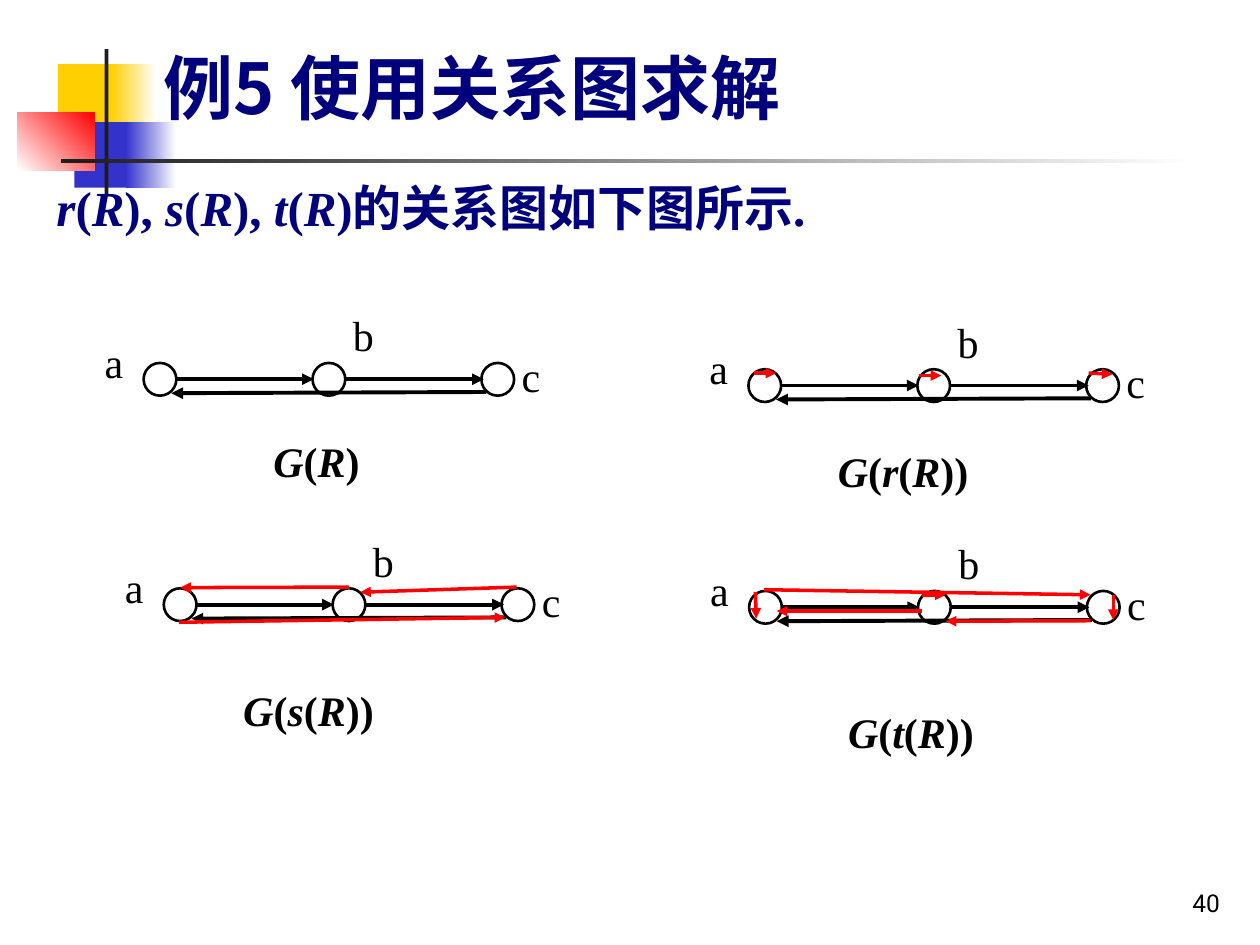
from itertools import groupby
from lxml.etree import SubElement as Sub
from pptx import Presentation
from pptx.dml.color import RGBColor as Rgb
from pptx.enum.shapes import MSO_CONNECTOR as Conn, MSO_SHAPE as Geo
from pptx.enum.text import MSO_ANCHOR as Anchor, PP_ALIGN as Align
from pptx.oxml.ns import qn
from pptx.util import Pt

COLORS = {
    "gold": "FFCF01", "blue": "3333CC", "red": "FF0000", "white": "FFFFFF",
    "dark": "1C1C1C", "navy": "00007D", "black": "000000",
}
SERIF, SANS, PLAIN = "Times New Roman", "Noto Sans CJK SC", "Roboto"


class Deck:
    def __init__(self, wide, high):
        self.prs = Presentation()
        self.prs.slide_width, self.prs.slide_height = Pt(wide), Pt(high)
        self.slide = self.prs.slides.add_slide(self.prs.slide_layouts[6])
        self.shapes = self.slide.shapes

    def color(self, name):
        return Rgb.from_string(COLORS[name])

    def block(self, box, *tones, angle=0):
        rect = self.shapes.add_shape(Geo.RECTANGLE, *map(Pt, box))
        rect.shadow.inherit = False
        rect.line.fill.background()
        if len(tones) == 1:
            rect.fill.solid()
            rect.fill.fore_color.rgb = self.color(tones[0])
            return
        rect.fill.gradient()
        rect.fill.gradient_angle = angle
        for stop, tone in zip(rect.fill.gradient_stops, tones):
            stop.color.rgb = self.color(tone)

    def node(self, x, y, size):
        ring = self.shapes.add_shape(Geo.OVAL, *map(Pt, (x, y, size, size)))
        ring.shadow.inherit = False
        ring.fill.background()
        ring.line.color.rgb = self.color("black")
        ring.line.width = Pt(1.5)

    def arrow(self, ends, tone="black", width=2.25):
        link = self.shapes.add_connector(Conn.STRAIGHT, *map(Pt, ends))
        link.line.color.rgb = self.color(tone)
        link.line.width = Pt(width)
        props = link._element.spPr
        Sub(props.find(qn("a:ln")), qn("a:tailEnd"), type="triangle")
        Sub(props, qn("a:effectLst"))

    def text(self, box, words, size=24, tone="black", face=SERIF, bold=False,
             math=False, pad=0, align=Align.LEFT, anchor=Anchor.TOP, lead=1):
        frame = self.shapes.add_textbox(*map(Pt, box)).text_frame
        form = {"word_wrap": True, "vertical_anchor": anchor,
                "margin_left": Pt(pad), "margin_right": Pt(pad)}
        for key, value in form.items():
            setattr(frame, key, value)
        para = frame.paragraphs[0]
        para.alignment, para.line_spacing = align, lead
        for slant, part in groupby(words, lambda c: math and c.isascii() and c.isalpha()):
            run = para.add_run()
            run.text = "".join(part)
            style = {"name": face, "size": Pt(size), "bold": bold, "italic": slant}
            for key, value in style.items():
                setattr(run.font, key, value)
            run.font.color.rgb = self.color(tone)
            Sub(run._r.rPr, qn("a:ea"), typeface=SANS)

    def graph(self, x, y, extra):
        for step in range(3):
            self.node(x + 96.5 * step, y, 18.7)
        for start in (18, 115.2):
            self.arrow((x + start, y + 9.3, x + start + 79.2, y + 9.3))
        self.arrow((x + 195.8, y + 16.6, x + 15.8, y + 17.3))
        for name, dx, dy in (("a", -22.3, -18.7), ("b", 119.5, -33.8), ("c", 216, -10.8)):
            self.text((x + dx, y + dy, 23, 36), name)
        for x1, y1, x2, y2 in extra:
            self.arrow((x + x1, y + y1, x + x2, y + y2), "red", 2)


def main():
    deck = Deck(720, 540)
    deck.block((33.1, 36.7, 34.6, 37.4), "gold")
    deck.block((63.4, 36.7, 25.9, 37.4), "gold", "white")
    deck.block((42.5, 69.8, 33.1, 37.4), "blue")
    deck.block((72, 69.8, 28.8, 37.4), "blue", "white")
    deck.block((10.1, 64.1, 43.9, 33.1), "white", "red", angle=45)
    deck.block((59.8, 28.1, 2.2, 82.8), "dark")
    deck.block((34.6, 90.7, 648, 2.2), "dark", "white")

    deck.text((554.4, 491.8, 149.8, 36), "40", 14, face=PLAIN, pad=7.2,
              align=Align.RIGHT, anchor=Anchor.BOTTOM)
    deck.text((86.4, 16.6, 613.4, 60.5), "例5 使用关系图求解", 40, "navy", SANS,
              bold=True, pad=7.2, anchor=Anchor.BOTTOM)
    deck.text((25.2, 94.3, 673.9, 45.4), "r(R), s(R), t(R)的关系图如下图所示.", 28,
              "navy", bold=True, math=True, pad=7.2, lead=1.1)

    loops = [(2.9, 2.2, 15.8, 2.2), (97.2, 3.6, 110.2, 3.6), (194.4, 2.2, 208, 2.9)]
    mirror = [(105.8, -0.7, 9.4, -0.4), (201.6, -0.7, 112.3, 2.2), (8.6, 19.4, 195.1, 16.6)]
    closure = [(8.6, -0.7, 195.1, 2.2), (98.6, 2.2, 112.3, 2.2), (98.6, 11.5, 15.8, 11.5),
               (208.1, 2.2, 208.1, 16.6), (3.6, 0.7, 4, 15.8), (195.1, 17, 112.3, 17.3)]
    graphs = [
        ("G(R)", 82.1, 207.4, 156.2, 245.5, []),
        ("G(r(R))", 427.7, 211, 478.8, 251.3, loops),
        ("G(s(R))", 93.6, 336.2, 139, 387.4, mirror),
        ("G(t(R))", 428.1, 337.7, 484.6, 400.3, closure),
    ]
    for name, x, y, left, top, extra in graphs:
        deck.graph(x, y, extra)
        deck.text((left, top, 100, 36), name, bold=True, math=True)

    deck.prs.save("out.pptx")


if __name__ == "__main__":
    main()
